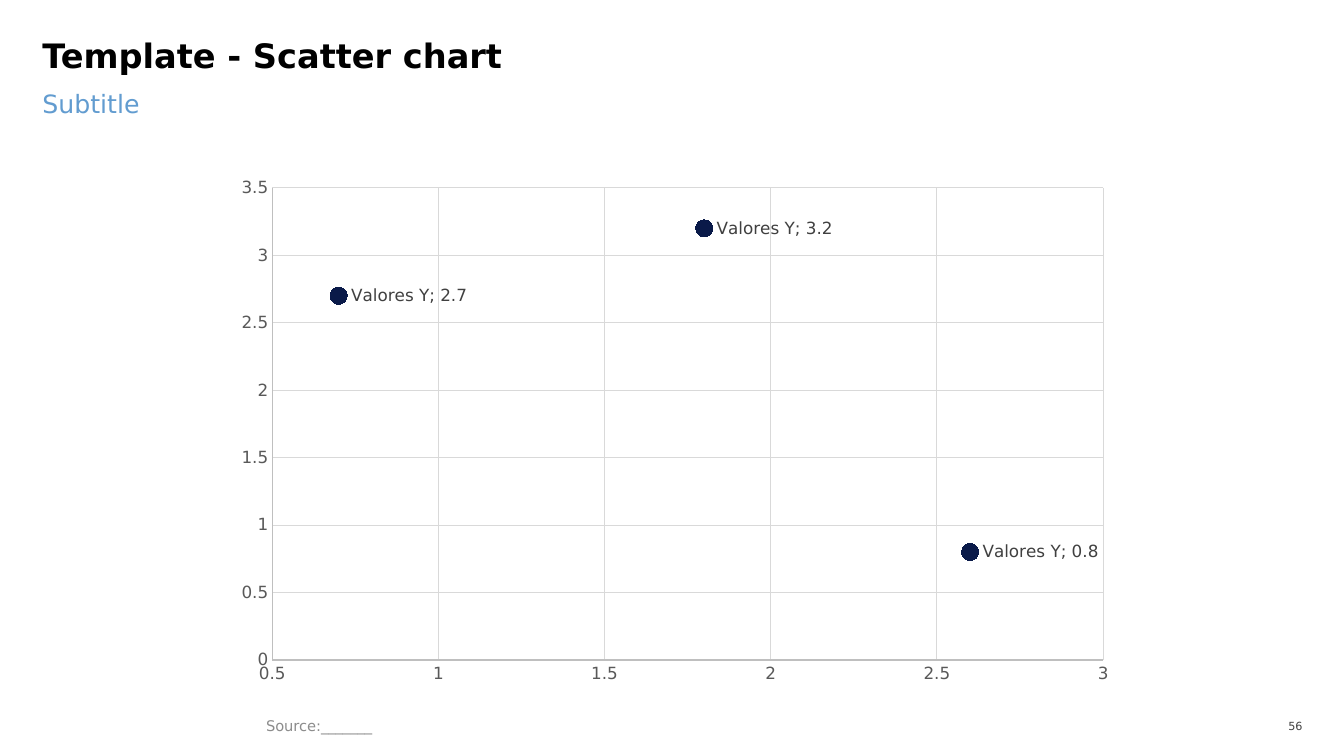
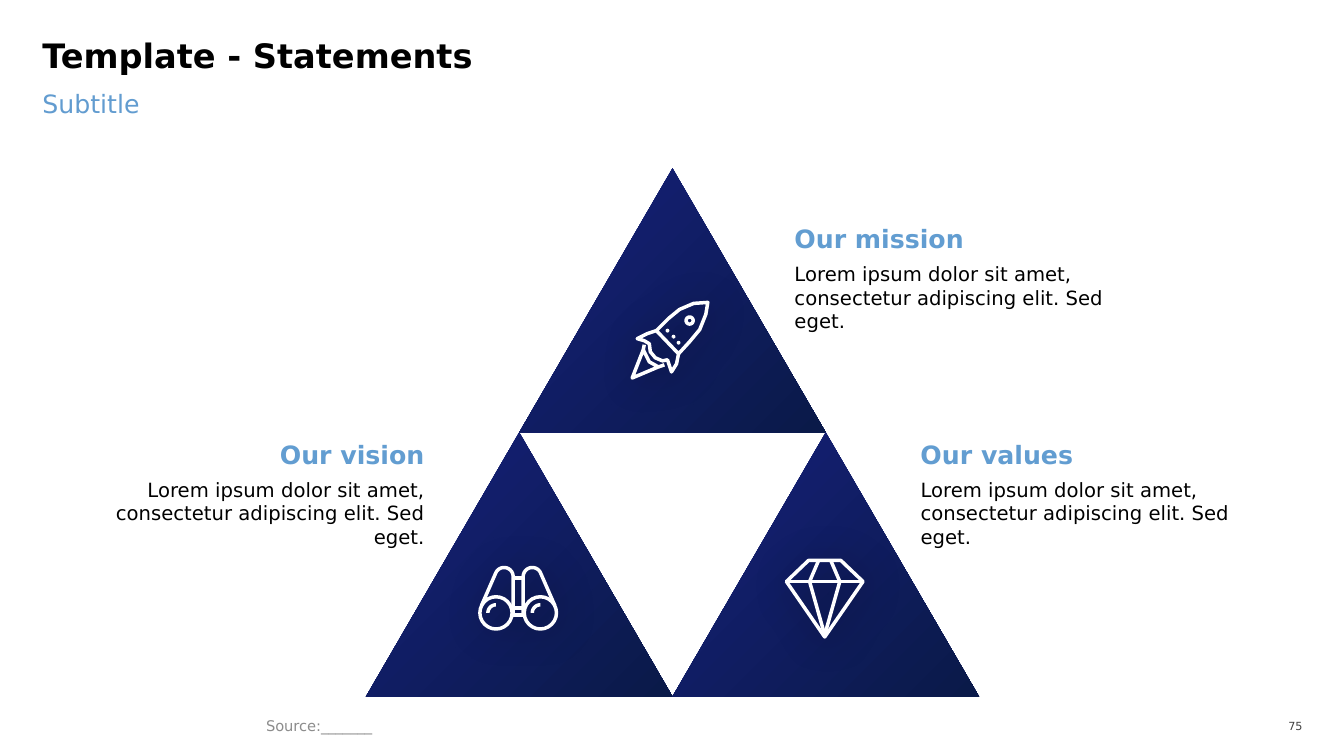
from dataclasses import dataclass
from math import cos, radians, sin

from pptx import Presentation
from pptx.chart.data import XyChartData
from pptx.dml.color import RGBColor
from pptx.enum.chart import XL_CHART_TYPE as ChartType, XL_MARKER_STYLE as Marker, XL_TICK_MARK as Tick
from pptx.enum.shapes import MSO_SHAPE as Shape
from pptx.enum.text import MSO_ANCHOR as Anchor, MSO_AUTO_SIZE as AutoSize, PP_ALIGN as Align
from pptx.oxml import parse_xml
from pptx.oxml.ns import nsdecls, qn
from pptx.util import Inches, Pt


@dataclass(frozen=True)
class Theme:
    font: str = "DejaVu Sans"
    black: str = "000000"
    white: str = "FFFFFF"
    subtitle: str = "629CD0"
    heading: str = "629DD1"
    bright_navy: str = "16207B"
    navy: str = "0A1A49"
    source: str = "8C8C8C"
    page_number: str = "404040"
    label: str = "404040"
    tick: str = "595959"
    axis: str = "BFBFBF"
    grid: str = "D9D9D9"
    title_size: float = 24
    heading_size: float = 18
    body_size: float = 14
    chart_size: float = 12
    source_size: float = 10.5
    page_size: float = 8
    icon_line: float = 2.5


THEME = Theme()
MARGIN, CONTENT_WIDTH = 0.42, 12.49
SUBTITLE, SOURCE = "Subtitle", "Source:_______"

SCATTER = {
    "title": "Template - Scatter chart",
    "page": "56",
    "series": "Valores Y",
    "points": [(0.7, 2.7), (1.8, 3.2), (2.6, 0.8)],
    "x_range": (0.5, 3),
    "y_range": (0, 3.5),
    "step": 0.5,
    "place": (2.22, 1.66, 8.89, 5.24),
    "plot": {"x": 0.054, "y": 0.039, "w": 0.927, "h": 0.894},
}

LOREM = "Lorem ipsum dolor sit amet, consectetur adipiscing elit. Sed eget."
STATEMENTS = {
    "title": "Template - Statements",
    "page": "75",
    "items": [
        {"heading": "Our vision", "body": LOREM, "icon": "binoculars",
         "column": 0, "row": 1, "edge": 4.21, "top": 4.26, "align": Align.RIGHT},
        {"heading": "Our mission", "body": LOREM, "icon": "rocket",
         "column": 1, "row": 0, "edge": 7.88, "top": 2.12, "align": Align.LEFT},
        {"heading": "Our values", "body": LOREM, "icon": "diamond",
         "column": 2, "row": 1, "edge": 9.13, "top": 4.26, "align": Align.LEFT},
    ],
}
TRIANGLE_LEFT, TRIANGLE_TOP = 3.63, 1.67
TRIANGLE_WIDTH, TRIANGLE_HEIGHT = 3.04, 2.62
HEADING_WIDTH, BODY_WIDTH = 2.93, 3.25


def arc(x, y, radius, start=0, end=360):
    return [(x + radius * cos(radians(start + (end - start) * step / 24)),
             y + radius * sin(radians(start + (end - start) * step / 24)))
            for step in range(25)]


def binocular_strokes():
    barrel = [(-0.365, 0.04), *arc(-0.14, -0.25, 0.09, 200, 360), (-0.05, 0.11)]
    left = [barrel, arc(-0.22, 0.11, 0.16)]
    right = [[(-x, y) for x, y in stroke] for stroke in left]
    glints = [arc(x, 0.11, 0.08, 180, 270) for x in (-0.22, 0.22)]
    bridges = [[(-0.05, y), (0.05, y)] for y in (-0.235, 0.06, 0.13)]
    return left + right + glints + bridges


ICONS = {
    "binoculars": (5.14, 5.97, binocular_strokes()),
    "rocket": (6.65, 3.38, [
        [(-0.14, -0.1), (-0.02, -0.22), (0.09, -0.31), (0.23, -0.37), (0.37, -0.38),
         (0.35, -0.26), (0.29, -0.11), (0.19, 0.01), (0.08, 0.13), (-0.14, -0.1)],
        [(-0.14, -0.1), (-0.23, -0.07), (-0.33, -0.02), (-0.26, 0), (-0.21, 0.03),
         (-0.2, 0.11), (-0.15, 0.17), (-0.08, 0.2), (-0.03, 0.19), (0.01, 0.31),
         (0.06, 0.23), (0.08, 0.13)],
        [(-0.27, 0.09), (-0.38, 0.37), (-0.12, 0.26), (-0.21, 0.21), (-0.27, 0.09)],
        [(-0.26, 0.04), (-0.27, 0.09)],
        [(-0.12, 0.26), (-0.06, 0.24)],
        arc(0.19, -0.2, 0.035),
        *[arc(x, y, 0.002) for x, y in ((-0.03, -0.1), (0.03, -0.04), (0.08, 0.02))],
    ]),
    "diamond": (8.18, 5.94, [
        [(-0.38, -0.17), (-0.16, -0.38), (0.16, -0.38), (0.38, -0.17), (0, 0.38), (-0.38, -0.17)],
        [(-0.38, -0.17), (0.38, -0.17)],
        *[[(side * 0.06, -0.38), (side * 0.15, -0.17), (0, 0.36)] for side in (-1, 1)],
    ]),
}


def color(value):
    return RGBColor.from_string(value)


def inches(place):
    return [Inches(length) for length in place]


def style_font(font, size, value, bold=False):
    font.name, font.size, font.bold = THEME.font, Pt(size), bold
    font.color.rgb = color(value)


def write(box, text, *, size, fill, bold=False, align=Align.LEFT, anchor=Anchor.TOP,
          inset=0, inset_y=0, spacing=None, grow=False):
    frame = box.text_frame
    frame.word_wrap = True
    frame.auto_size = AutoSize.SHAPE_TO_FIT_TEXT if grow else AutoSize.NONE
    frame.vertical_anchor = anchor
    frame.margin_left = frame.margin_right = Inches(inset)
    frame.margin_top = frame.margin_bottom = Inches(inset_y)
    para = frame.paragraphs[0]
    para.alignment = align
    para.line_spacing = spacing
    span = para.add_run()
    span.text = text
    style_font(span.font, size, fill, bold)


def add_text(page, text, place, **style):
    write(page.shapes.add_textbox(*inches(place)), text, **style)


def add_page(deck, content):
    page = deck.slides.add_slide(deck.slide_layouts[5])
    title = page.shapes.title
    title.left, title.top, title.width, title.height = inches((MARGIN, 0.42, CONTENT_WIDTH, 0.53))
    write(title, content["title"], size=THEME.title_size, fill=THEME.black, bold=True, spacing=0.8)
    add_text(page, SUBTITLE, (MARGIN, 0.88, CONTENT_WIDTH, 0.63),
             size=THEME.heading_size, fill=THEME.subtitle)
    add_text(page, SOURCE, (2.54, 7.07, 6.39, 0.26), size=THEME.source_size,
             fill=THEME.source, anchor=Anchor.MIDDLE, inset=0.1, inset_y=0.05)
    add_text(page, content["page"], (12.5, 7.09, 0.42, 0.23), size=THEME.page_size,
             fill=THEME.page_number, align=Align.RIGHT, anchor=Anchor.MIDDLE)
    return page


def style_axis(axis, limits, step):
    axis.minimum_scale, axis.maximum_scale = limits
    axis.major_unit = step
    axis.major_tick_mark = axis.minor_tick_mark = Tick.NONE
    axis.has_major_gridlines = True
    axis.tick_labels.number_format = "General"
    axis.tick_labels.number_format_is_linked = False
    style_font(axis.tick_labels.font, THEME.chart_size, THEME.tick)
    for line, value in ((axis.format.line, THEME.axis), (axis.major_gridlines.format.line, THEME.grid)):
        line.color.rgb = color(value)
        line.width = Pt(0.75)


def add_labels(series):
    labels = parse_xml(
        f'<c:dLbls {nsdecls("c", "a")}><c:spPr><a:noFill/><a:ln><a:noFill/></a:ln></c:spPr>'
        f'<c:txPr><a:bodyPr/><a:p><a:pPr><a:defRPr sz="{THEME.chart_size * 100}">'
        f'<a:solidFill><a:srgbClr val="{THEME.label}"/></a:solidFill>'
        f'<a:latin typeface="{THEME.font}"/></a:defRPr></a:pPr></a:p></c:txPr>'
        '<c:dLblPos val="r"/><c:showLegendKey val="0"/><c:showVal val="1"/>'
        '<c:showCatName val="0"/><c:showSerName val="1"/><c:showPercent val="0"/>'
        '<c:showBubbleSize val="0"/><c:separator>; </c:separator></c:dLbls>')
    series._element.find(qn("c:xVal")).addprevious(labels)


def place_plot(chart, plot):
    area = chart._chartSpace.find(qn("c:chart")).find(qn("c:plotArea"))
    for old in area.findall(qn("c:layout")):
        area.remove(old)
    sizes = "".join(f'<c:{name} val="{value}"/>' for name, value in plot.items())
    area.insert(0, parse_xml(
        f'<c:layout {nsdecls("c")}><c:manualLayout><c:layoutTarget val="inner"/>'
        f'<c:xMode val="edge"/><c:yMode val="edge"/>{sizes}</c:manualLayout></c:layout>'))


def add_scatter(page, content):
    data = XyChartData()
    values = data.add_series(content["series"])
    for x, y in content["points"]:
        values.add_data_point(x, y)
    chart = page.shapes.add_chart(ChartType.XY_SCATTER, *inches(content["place"]), data).chart
    chart.has_legend = chart.has_title = False
    style_font(chart.font, 10, THEME.black)
    style_axis(chart.category_axis, content["x_range"], content["step"])
    style_axis(chart.value_axis, content["y_range"], content["step"])
    plot = chart.plots[0]
    plot.vary_by_categories = False
    series = plot.series[0]
    series.format.line.fill.background()
    series.marker.style, series.marker.size = Marker.CIRCLE, 12
    series.marker.format.fill.solid()
    series.marker.format.fill.fore_color.rgb = color(THEME.navy)
    series.marker.format.line.color.rgb = color(THEME.navy)
    add_labels(series)
    place_plot(chart, content["plot"])


def add_triangle(page, column, row):
    left = TRIANGLE_LEFT + column * TRIANGLE_WIDTH / 2
    top = TRIANGLE_TOP + row * TRIANGLE_HEIGHT
    triangle = page.shapes.add_shape(
        Shape.ISOSCELES_TRIANGLE, *inches((left, top, TRIANGLE_WIDTH, TRIANGLE_HEIGHT)))
    triangle.shadow.inherit = False
    triangle.line.fill.background()
    triangle.fill.gradient()
    triangle.fill.gradient_angle = 315
    stops = zip(triangle.fill.gradient_stops, (0, 0.99), (THEME.bright_navy, THEME.navy))
    for stop, position, value in stops:
        stop.position = position
        stop.color.rgb = color(value)


def add_icon(page, name):
    x, y, strokes = ICONS[name]
    outlines = [[(Inches(x + dx), Inches(y + dy)) for dx, dy in stroke] for stroke in strokes]
    builder = page.shapes.build_freeform(*outlines[0][0])
    for index, points in enumerate(outlines):
        if index:
            builder.move_to(*points[0])
        builder.add_line_segments(points[1:], close=points[0] == points[-1])
    icon = builder.convert_to_shape()
    icon.fill.background()
    icon.line.color.rgb = color(THEME.white)
    icon.line.width = Pt(THEME.icon_line)
    icon.shadow.inherit = False
    icon._element.spPr.find(qn("a:effectLst")).append(parse_xml(
        f'<a:outerShdw {nsdecls("a")} blurRad="{Pt(30)}" dist="{Pt(3)}" dir="2700000">'
        f'<a:srgbClr val="{THEME.black}"><a:alpha val="40000"/></a:srgbClr></a:outerShdw>'))


def add_statement(page, item):
    add_triangle(page, item["column"], item["row"])
    add_icon(page, item["icon"])
    edge, top, align = item["edge"], item["top"], item["align"]
    shift = 1 if align == Align.RIGHT else 0
    add_text(page, item["heading"], (edge - shift * HEADING_WIDTH, top, HEADING_WIDTH, 0.4),
             size=THEME.heading_size, fill=THEME.heading, bold=True, align=align, anchor=Anchor.BOTTOM)
    add_text(page, item["body"], (edge - shift * BODY_WIDTH, top + 0.48, BODY_WIDTH, 0.71),
             size=THEME.body_size, fill=THEME.black, align=align, grow=True)


def main():
    deck = Presentation()
    deck.slide_width, deck.slide_height = Inches(13.33), Inches(7.5)
    add_scatter(add_page(deck, SCATTER), SCATTER)
    page = add_page(deck, STATEMENTS)
    for item in STATEMENTS["items"]:
        add_statement(page, item)
    deck.save("out.pptx")


if __name__ == "__main__":
    main()
